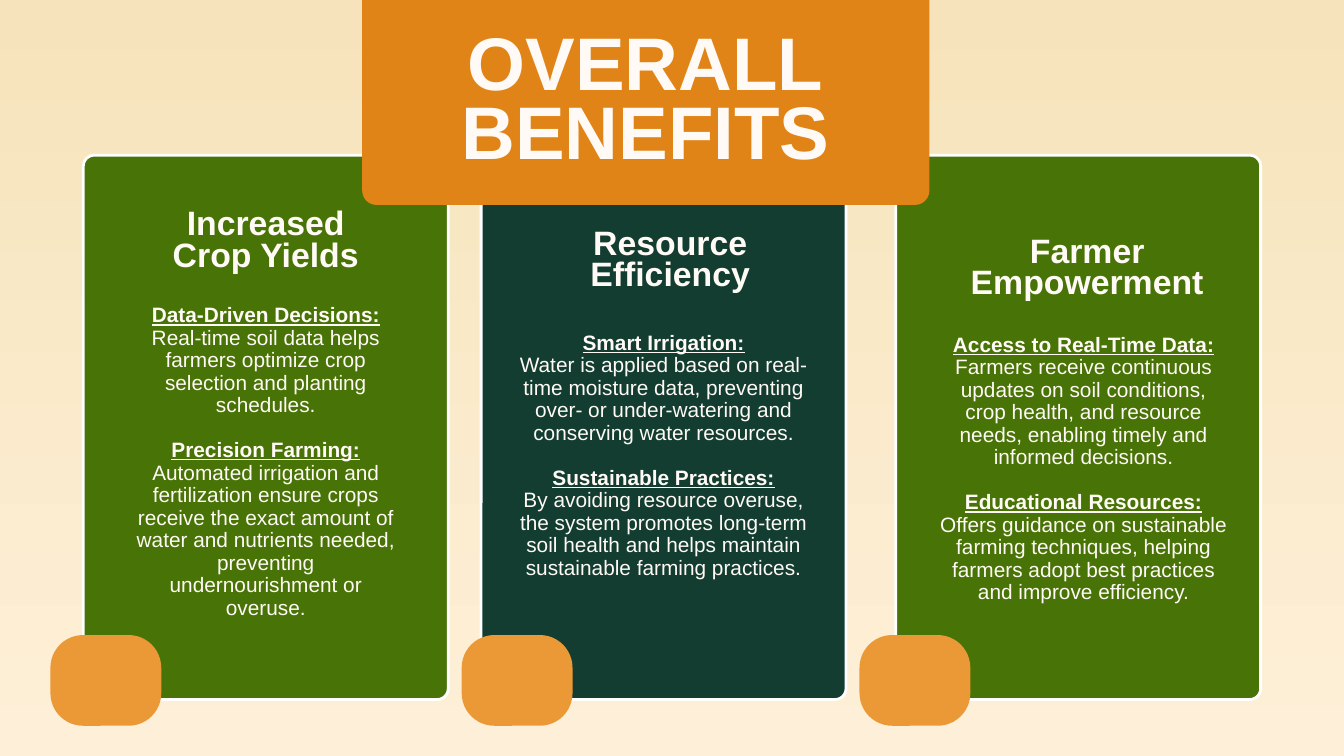
from dataclasses import dataclass

from pptx import Presentation
from pptx.dml.color import RGBColor
from pptx.enum.shapes import MSO_SHAPE as Preset
from pptx.enum.text import PP_ALIGN as Align
from pptx.util import Inches, Pt

COLOURS = {
    "sky": "F6E3BB",
    "sand": "FEF0D8",
    "green": "487307",
    "forest": "133D31",
    "white": "FFFFFF",
    "cream": "FFFAF5",
    "banner": "E18417",
    "badge": "EB9837",
}
FONT = "Arial"


@dataclass
class Box:
    left: float
    top: float
    width: float
    height: float

    def lengths(self) -> list:
        return [Inches(n) for n in (self.left, self.top, self.width, self.height)]


@dataclass
class Benefit:
    card_left: float
    badge_left: float
    colour: str
    title: str
    title_box: Box
    body_box: Box
    points: list[tuple[str, str]]


BENEFITS = [
    Benefit(
        1.24, 0.75, "green", "Increased Crop Yields",
        Box(2.27, 3.14, 3.37, 0.96), Box(1.98, 4.53, 3.95, 6.02),
        [
            ("Data-Driven Decisions:",
             "Real-time soil data helps farmers optimize crop selection and "
             "planting schedules."),
            ("Precision Farming:",
             "Automated irrigation and fertilization ensure crops receive the "
             "exact amount of water and nutrients needed, preventing "
             "undernourishment or overuse."),
        ],
    ),
    Benefit(
        7.16, 6.87, "forest", "Resource Efficiency",
        Box(7.91, 3.43, 4.13, 0.96), Box(7.71, 4.94, 4.33, 5.35),
        [
            ("Smart Irrigation:",
             "Water is applied based on real-time moisture data, preventing "
             "over- or under-watering and conserving water resources."),
            ("Sustainable Practices:",
             "By avoiding resource overuse, the system promotes long-term soil "
             "health and helps maintain sustainable farming practices."),
        ],
    ),
    Benefit(
        13.33, 12.79, "green", "Farmer Empowerment",
        Box(13.96, 3.55, 4.44, 0.96), Box(13.96, 4.97, 4.33, 5.68),
        [
            ("Access to Real-Time Data:",
             "Farmers receive continuous updates on soil conditions, crop "
             "health, and resource needs, enabling timely and informed "
             "decisions."),
            ("Educational Resources:",
             "Offers guidance on sustainable farming techniques, helping "
             "farmers adopt best practices and improve efficiency."),
        ],
    ),
]


def rgb(name: str) -> RGBColor:
    return RGBColor.from_string(COLOURS[name])


def add_panel(slide, preset: Preset, box: Box, colour: str,
              corners: list[float], outlined: bool = False) -> None:
    shape = slide.shapes.add_shape(preset, *box.lengths())
    shape.shadow.inherit = False
    for index, corner in enumerate(corners):
        shape.adjustments[index] = corner
    shape.fill.solid()
    shape.fill.fore_color.rgb = rgb(colour)
    if outlined:
        shape.line.color.rgb = rgb("white")
        shape.line.width = Pt(3)
    else:
        shape.line.fill.background()


def add_frame(slide, box: Box):
    frame = slide.shapes.add_textbox(*box.lengths()).text_frame
    frame.word_wrap = True
    frame.margin_left = frame.margin_top = 0
    frame.margin_right = frame.margin_bottom = 0
    return frame


def write(frame, text: str, *, size: float, spacing: float, bold: bool = True,
          underline: bool = False, before: float = 0) -> None:
    first = frame.paragraphs[0]
    paragraph = frame.add_paragraph() if first.runs else first
    paragraph.alignment = Align.CENTER
    paragraph.line_spacing = Pt(spacing)
    paragraph.space_before = Pt(before)
    run = paragraph.add_run()
    run.text = text
    font = run.font
    font.name, font.size = FONT, Pt(size)
    font.bold, font.underline = bold, underline
    font.color.rgb = rgb("cream")


def add_benefit_text(slide, benefit: Benefit) -> None:
    write(add_frame(slide, benefit.title_box), benefit.title, size=36.2, spacing=33.7)
    body = add_frame(slide, benefit.body_box)
    for index, (heading, detail) in enumerate(benefit.points):
        write(body, heading, size=22.3, spacing=24.1, underline=True,
              before=24.1 if index else 0)
        write(body, detail, size=22.3, spacing=24.1, bold=False)


def main() -> None:
    presentation = Presentation()
    presentation.slide_width = Inches(20)
    presentation.slide_height = Inches(11.25)
    slide = presentation.slides.add_slide(presentation.slide_layouts[6])

    # Background gradient, top to bottom
    background = slide.background.fill
    background.gradient()
    background.gradient_angle = 270
    for stop, position, name in zip(background.gradient_stops, (0, 1), ("sky", "sand")):
        stop.position = position
        stop.color.rgb = rgb(name)

    # Cards
    for benefit in BENEFITS:
        add_panel(slide, Preset.ROUNDED_RECTANGLE, Box(benefit.card_left, 2.31, 5.43, 8.1),
                  benefit.colour, [0.03], outlined=True)

    # Title banner hanging from the top edge
    add_panel(slide, Preset.ROUND_2_SAME_RECTANGLE, Box(5.39, 0, 8.44, 3.05),
              "banner", [0, 0.07])
    title = add_frame(slide, Box(6.26, 0.54, 6.7, 2.13))
    for word in ("OVERALL", "BENEFITS"):
        write(title, word, size=79.8, spacing=74.2)

    # Badges and text
    for benefit in BENEFITS:
        add_panel(slide, Preset.ROUNDED_RECTANGLE, Box(benefit.badge_left, 9.45, 1.65, 1.35),
                  "badge", [0.36])
    for benefit in BENEFITS:
        add_benefit_text(slide, benefit)

    presentation.save("out.pptx")


if __name__ == "__main__":
    main()
